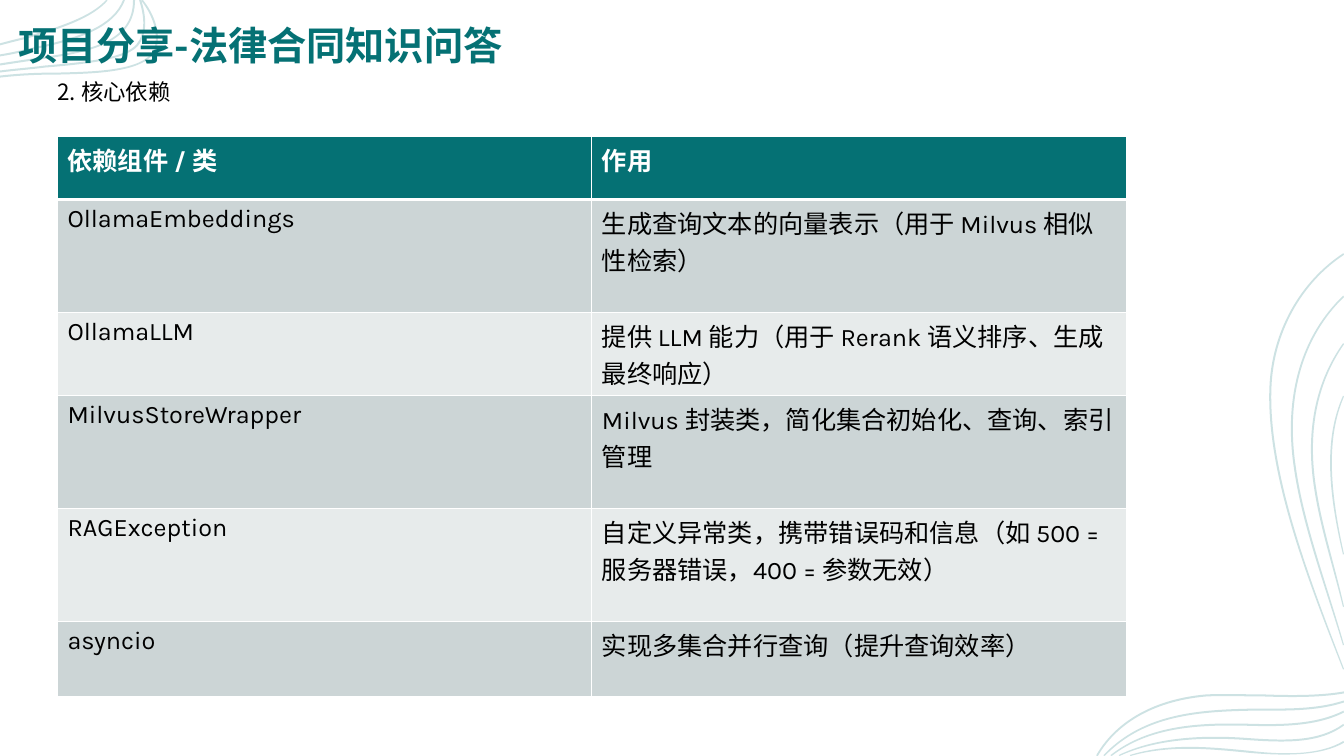
from dataclasses import dataclass
from math import hypot
from typing import Any

from lxml.etree import SubElement
from pptx import Presentation
from pptx.dml.color import RGBColor
from pptx.enum.text import MSO_ANCHOR, MSO_AUTO_SIZE, PP_ALIGN
from pptx.oxml.ns import qn
from pptx.util import Inches, Pt

WIDE, HIGH = 13.33, 7.5
HALF = 0.01

TEAL = RGBColor(0x05, 0x71, 0x74)
WHITE = RGBColor(0xFF, 0xFF, 0xFF)
BLACK = RGBColor(0, 0, 0)
DARK = RGBColor(0xCC, 0xD5, 0xD6)
LIGHT = RGBColor(0xE7, 0xEB, 0xEB)

HAN = "Noto Sans CJK SC"
LATIN = "Karla"

Point = tuple[float, float]


@dataclass(frozen=True)
class Row:
    name: str
    role: str
    height: float


ROWS = [
    Row("依赖组件 / 类", "作用", 0.63),
    Row("OllamaEmbeddings", "生成查询文本的向量表示（用于 Milvus 相似性检索）", 1.12),
    Row("OllamaLLM", "提供 LLM 能力（用于 Rerank 语义排序、生成最终响应）", 0.82),
    Row("MilvusStoreWrapper", "Milvus 封装类，简化集合初始化、查询、索引管理", 1.12),
    Row("RAGException", "自定义异常类，携带错误码和信息（如 500 = 服务器错误，400 = 参数无效）", 1.12),
    Row("asyncio", "实现多集合并行查询（提升查询效率）", 0.75),
]

# Each strand: a start point, then three points for every Bezier piece.
CORNER: list[list[Point]] = [
    [(0, 0.44), (0.08, 0.42), (0.15, 0.4), (0.24, 0.38),
     (0.62, 0.27), (0.91, 0.17), (1.06, 0)],
    [(0, 0.76), (0.18, 0.74), (0.35, 0.73), (0.59, 0.73),
     (0.97, 0.72), (1.5, 0.71), (1.55, 0.45),
     (1.58, 0.3), (1.51, 0.13), (1.41, 0)],
    [(0, 0.71), (0.15, 0.69), (0.3, 0.68), (0.45, 0.66),
     (0.95, 0.62), (1.25, 0.57), (1.36, 0.45),
     (1.46, 0.33), (1.44, 0.15), (1.39, 0)],
    [(0, 0.64), (0.13, 0.62), (0.26, 0.6), (0.4, 0.58),
     (0.9, 0.51), (1.33, 0.42), (1.33, 0)],
    [(0, 0.55), (0.13, 0.53), (0.25, 0.5), (0.38, 0.47),
     (0.8, 0.38), (1.13, 0.26), (1.23, 0)],
]
EDGE: list[list[Point]] = [
    [(13.33, 3.93), (13.14, 4.35), (13.18, 4.87), (13.33, 5.5)],
    [(13.33, 3.41), (13.05, 3.8), (12.95, 4.3), (13.05, 4.88),
     (13.11, 5.25), (13.23, 5.62), (13.33, 6.02)],
    [(13.33, 2.94), (12.92, 3.33), (12.74, 3.92), (12.84, 4.62),
     (12.92, 5.2), (13.15, 5.8), (13.33, 6.4)],
    [(13.33, 2.52), (12.9, 2.8), (12.62, 3.3), (12.6, 3.85),
     (12.57, 4.7), (12.98, 5.75), (13.33, 6.64)],
    [(13.33, 6.87), (13.1, 6.91), (12.82, 6.91), (12.54, 6.9),
     (12.34, 6.9), (12.15, 6.89), (11.96, 6.9),
     (11.4, 6.95), (11.05, 7.2), (10.88, 7.5)],
    [(13.33, 6.96), (13.05, 7.05), (12.75, 7.04), (12.45, 7.04),
     (11.9, 7.05), (11.35, 7.08), (10.95, 7.5)],
    [(13.33, 7.06), (13.05, 7.2), (12.7, 7.2), (12.36, 7.19),
     (11.9, 7.18), (11.4, 7.2), (11.02, 7.5)],
    [(13.33, 7.19), (13.08, 7.37), (12.75, 7.36), (12.34, 7.33),
     (11.9, 7.3), (11.45, 7.33), (11.1, 7.5)],
    [(13.33, 7.36), (13.1, 7.5), (12.75, 7.5), (12.4, 7.46),
     (12, 7.42), (11.6, 7.38), (11.21, 7.5)],
]


def apply(item: Any, form: dict[str, Any]) -> None:
    """Set every attribute named in form on item."""
    for key, value in form.items():
        setattr(item, key, value)


def place(left: float, top: float, width: float, height: float) -> dict[str, Any]:
    keys = ("left", "top", "width", "height")
    return dict(zip(keys, map(Inches, (left, top, width, height))))


def write(frame: Any, text: str, face: str, size: int, color: RGBColor, bold: bool) -> Any:
    """Put text in the first paragraph, with Latin and Han fonts, and return it."""
    para = frame.paragraphs[0]
    run = para.add_run()
    run.text = text
    apply(run.font, {"name": face, "size": Pt(size), "bold": bold})
    run.font.color.rgb = color
    SubElement(run.font._element, qn("a:ea"), typeface=HAN)
    return para


def shift(points: list[Point], gap: float) -> list[tuple[int, int]]:
    """Move points sideways by gap, kept on the slide."""
    moved = []
    for index, (x, y) in enumerate(points):
        left, top = points[max(index - 1, 0)]
        right, low = points[min(index + 1, len(points) - 1)]
        run, rise = right - left, low - top
        size = hypot(run, rise)
        moved.append((Inches(min(max(x - gap * rise / size, 0), WIDE)),
                      Inches(min(max(y + gap * run / size, 0), HIGH))))
    return moved


def bend(shape: Any, strands: list[list[Point]]) -> None:
    """Join the straight segments of each ribbon into Bezier pieces."""
    segments = iter(list(shape._element.iter(qn("a:lnTo"))))
    for strand in strands:
        pieces = len(strand) // 3
        for index in range(2 * pieces + 1):
            first = next(segments)
            if index == pieces:
                continue
            first.tag = qn("a:cubicBezTo")
            for _ in range(2):
                extra = next(segments)
                first.append(extra[0])
                extra.getparent().remove(extra)


def add_waves(shapes: Any, strands: list[list[Point]]) -> None:
    pen = None
    for strand in strands:
        start, *rest = shift(strand, HALF) + shift(strand, -HALF)[::-1]
        if pen is None:
            pen = shapes.build_freeform(*start)
        else:
            pen.move_to(*start)
        # The closing side stays straight, across the end of the ribbon.
        pen.add_line_segments(rest, close=False)
    wave = pen.convert_to_shape()
    segments = list(wave._element.iter(qn("a:lnTo")))
    assert len(segments) == sum(2 * len(strand) - 1 for strand in strands)
    bend(wave, strands)
    wave.shadow.inherit = False
    wave.line.fill.background()
    wave.fill.solid()
    wave.fill.fore_color.rgb = TEAL
    tint = wave._element.spPr.find(qn("a:solidFill"))[0]
    SubElement(tint, qn("a:alpha"), val="20000")


def edge_cell(cell: Any, head: bool) -> None:
    """Give a cell white borders, thick under the header."""
    props = cell._tc.get_or_add_tcPr()
    for side in "LRTB":
        points = 3 if head and side == "B" else 1
        line = SubElement(props, qn(f"a:ln{side}"), w=str(Pt(points)))
        fill = SubElement(line, qn("a:solidFill"))
        SubElement(fill, qn("a:srgbClr"), val=str(WHITE))


def add_grid(shapes: Any) -> None:
    spot = place(0.57, 1.35, 10.6, sum(row.height for row in ROWS))
    table = shapes.add_table(len(ROWS), 2, **spot).table
    table.horz_banding = False
    for index, row in enumerate(ROWS):
        table.rows[index].height = Inches(row.height)
        head = index == 0
        back = TEAL if head else (LIGHT, DARK)[index % 2]
        for col, text in enumerate((row.name, row.role)):
            cell = table.cell(index, col)
            edge_cell(cell, head)
            cell.fill.solid()
            cell.fill.fore_color.rgb = back
            write(cell.text_frame, text, LATIN, 18, WHITE if head else BLACK, head)


def main() -> None:
    deck = Presentation()
    apply(deck, {"slide_width": Inches(WIDE), "slide_height": Inches(HIGH)})
    slide = deck.slides.add_slide(deck.slide_layouts[1])
    shapes = slide.shapes
    title, body = shapes.title, slide.placeholders[1]
    for strands in (CORNER, EDGE):
        add_waves(shapes, strands)
    for holder in (title, body):
        shapes._spTree.append(holder._element)

    apply(title, place(0.18, -0.11, 11.81, 0.79))
    sides = ("margin_left", "margin_top", "margin_right", "margin_bottom")
    apply(title.text_frame, dict.fromkeys(sides, 0) | {
        "vertical_anchor": MSO_ANCHOR.BOTTOM, "auto_size": MSO_AUTO_SIZE.NONE})
    para = write(title.text_frame, "项目分享-法律合同知识问答", HAN, 28, TEAL, True)
    para.alignment = PP_ALIGN.LEFT

    apply(body, place(0.47, 0.77, 12.21, 2.81))
    body.text_frame.auto_size = MSO_AUTO_SIZE.NONE
    para = write(body.text_frame, "2. 核心依赖", HAN, 16, BLACK, False)
    apply(para, {"line_spacing": Pt(16), "space_before": Pt(0), "space_after": Pt(6)})
    props = para._p.get_or_add_pPr()
    props.attrib.update({"marL": "0", "indent": "0"})
    SubElement(props, qn("a:buNone"))

    add_grid(shapes)
    deck.save("out.pptx")


if __name__ == "__main__":
    main()
